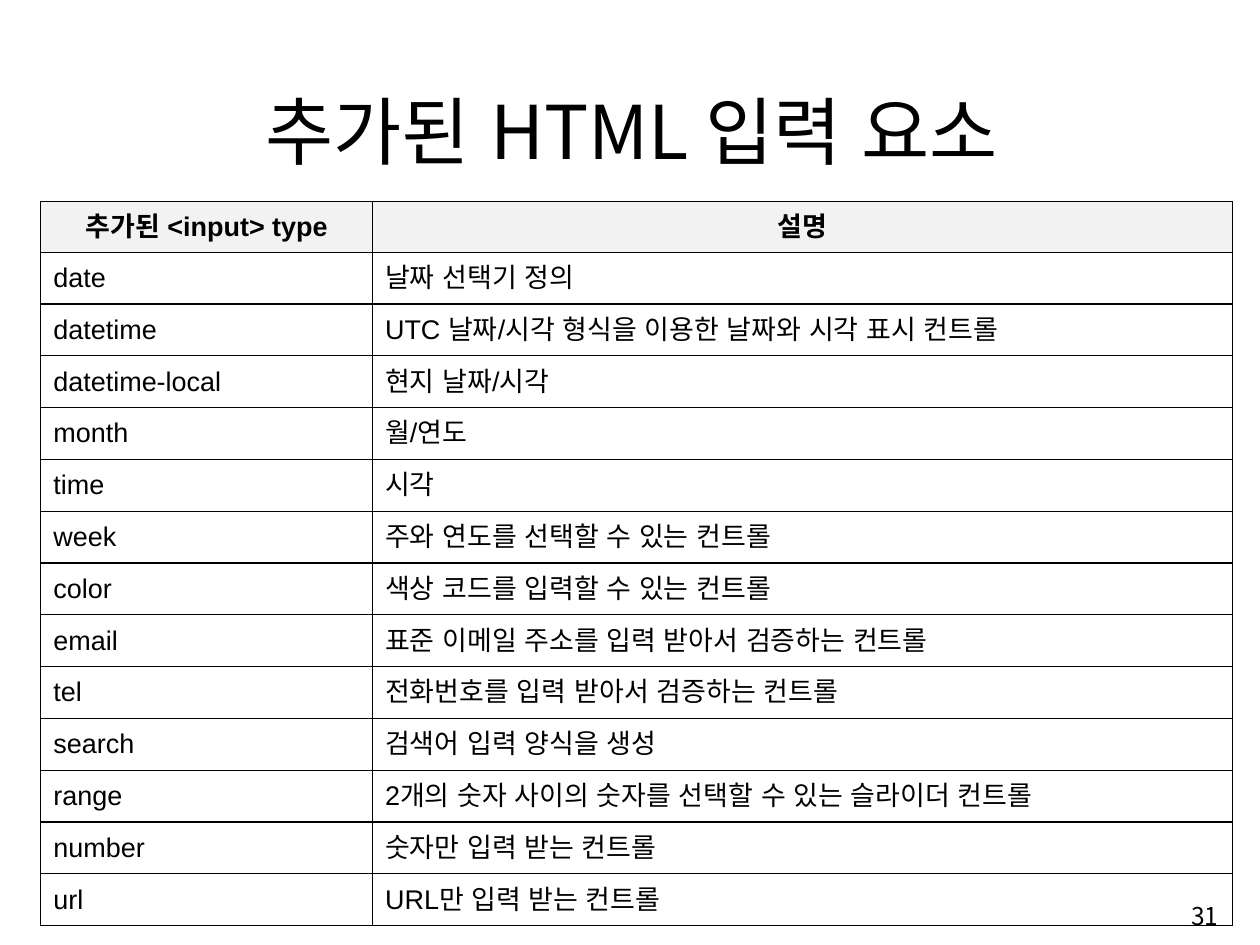
from lxml.etree import SubElement
from pptx import Presentation
from pptx.dml.color import RGBColor
from pptx.enum.text import MSO_ANCHOR, MSO_AUTO_SIZE, PP_ALIGN
from pptx.oxml.ns import qn
from pptx.util import Inches, Pt

TITLE = "추가된 HTML 입력 요소"
PAGE_NUMBER = "31"
HEADINGS = ("추가된 <input> type", "설명")
INPUT_TYPES = [
    ("date", "날짜 선택기 정의"),
    ("datetime", "UTC 날짜/시각 형식을 이용한 날짜와 시각 표시 컨트롤"),
    ("datetime-local", "현지 날짜/시각"),
    ("month", "월/연도"),
    ("time", "시각"),
    ("week", "주와 연도를 선택할 수 있는 컨트롤"),
    ("color", "색상 코드를 입력할 수 있는 컨트롤"),
    ("email", "표준 이메일 주소를 입력 받아서 검증하는 컨트롤"),
    ("tel", "전화번호를 입력 받아서 검증하는 컨트롤"),
    ("search", "검색어 입력 양식을 생성"),
    ("range", "2개의 숫자 사이의 숫자를 선택할 수 있는 슬라이더 컨트롤"),
    ("number", "숫자만 입력 받는 컨트롤"),
    ("url", "URL만 입력 받는 컨트롤"),
]
COLUMN_WIDTHS = (3.42, 8.87)
HEADING_HEIGHT = 0.52
ROW_HEIGHT = 0.534
LATIN = "Arial"
KOREAN = "Noto Sans CJK KR"
BLACK = "000000"
HEADING_FILL = "F2F2F2"


def color(value):
    return RGBColor.from_string(value)


def write(frame, text, size, font=KOREAN, bold=False, align=PP_ALIGN.LEFT):
    paragraph = frame.paragraphs[0]
    paragraph.alignment = align
    run = paragraph.add_run()
    run.text = text
    run.font.size = Pt(size)
    run.font.bold = bold
    run.font.color.rgb = color(BLACK)
    run.font.name = font
    SubElement(run.font._element, qn("a:ea"), typeface=LATIN)


def set_margins(owner):
    owner.margin_left = owner.margin_right = Inches(0.13)
    owner.margin_top = owner.margin_bottom = Inches(0.06)


def add_borders(cell):
    properties = cell._tc.get_or_add_tcPr()
    for position, side in enumerate(("a:lnL", "a:lnR", "a:lnT", "a:lnB")):
        border = SubElement(properties, qn(side), w=str(Pt(1)))
        fill = SubElement(border, qn("a:solidFill"))
        SubElement(fill, qn("a:srgbClr"), val=BLACK)
        properties.insert(position, border)


def fill_cell(cell, text, heading):
    set_margins(cell)
    cell.vertical_anchor = MSO_ANCHOR.MIDDLE
    if heading:
        cell.fill.solid()
        cell.fill.fore_color.rgb = color(HEADING_FILL)
    else:
        cell.fill.background()
    add_borders(cell)
    write(cell.text_frame, text, 20, font=LATIN, bold=heading,
          align=PP_ALIGN.CENTER if heading else PP_ALIGN.LEFT)


def add_input_table(slide):
    rows = [HEADINGS, *INPUT_TYPES]
    heights = [HEADING_HEIGHT] + [ROW_HEIGHT] * len(INPUT_TYPES)
    table = slide.shapes.add_table(
        len(rows), len(HEADINGS), Inches(0.42), Inches(2.08),
        Inches(sum(COLUMN_WIDTHS)), Inches(sum(heights))).table
    table.first_row = table.horz_banding = False
    for column, width in zip(table.columns, COLUMN_WIDTHS):
        column.width = Inches(width)
    for r, (texts, height) in enumerate(zip(rows, heights)):
        table.rows[r].height = Inches(height)
        for c, text in enumerate(texts):
            fill_cell(table.cell(r, c), text, heading=r == 0)


def add_title(slide):
    title = slide.shapes.title
    title.left, title.top = Inches(1.21), Inches(0.78)
    title.width, title.height = Inches(10.61), Inches(1.08)
    frame = title.text_frame
    frame.auto_size = MSO_AUTO_SIZE.NONE
    frame.vertical_anchor = MSO_ANCHOR.BOTTOM
    set_margins(frame)
    write(frame, TITLE, 55, align=PP_ALIGN.CENTER)


def add_page_number(slide):
    frame = slide.shapes.add_textbox(
        Inches(9.98), Inches(9.14), Inches(2.68), Inches(0.6)).text_frame
    frame.word_wrap = True
    frame.vertical_anchor = MSO_ANCHOR.MIDDLE
    write(frame, PAGE_NUMBER, 18.2, align=PP_ALIGN.RIGHT)


def main():
    deck = Presentation()
    deck.slide_width, deck.slide_height = Inches(12.99), Inches(9.74)
    slide = deck.slides.add_slide(deck.slide_layouts[5])
    add_title(slide)
    add_input_table(slide)
    add_page_number(slide)
    deck.save("out.pptx")


if __name__ == "__main__":
    main()
